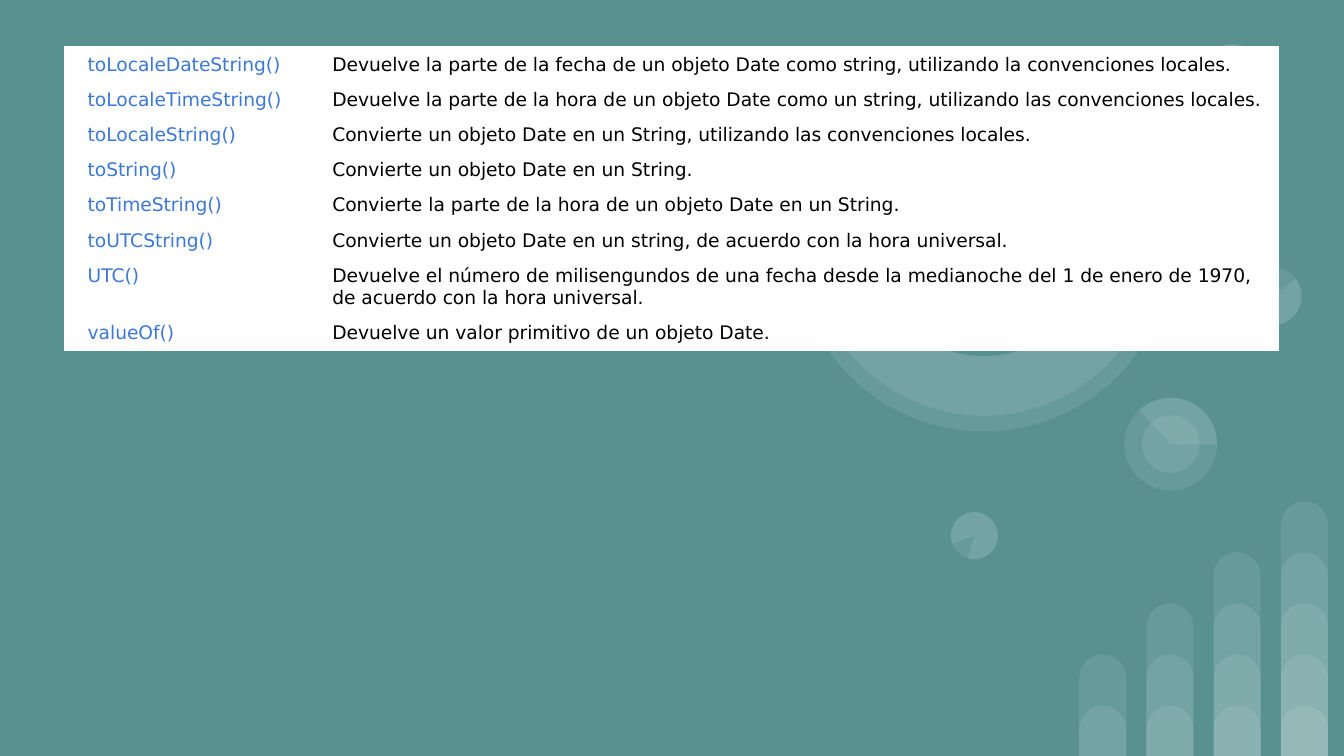
from lxml import etree
from pptx import Presentation, util as u
from pptx.dml.color import RGBColor
from pptx.enum import shapes
from pptx.oxml import ns

theme = {
    "back": "599191",
    "glow": "FFFFFF",
    "alpha": 9,
    "cell": "FFFFFF",
    "name": "3C78D8",
    "text": "000000",
    "font": "DejaVu Sans",
    "size": 10,
}

deck = Presentation()
deck.slide_width = u.Inches(10)
deck.slide_height = deck.slide_width * 9 // 16
unit = deck.slide_width / 100
base = deck.slide_height / unit
slide = deck.slides.add_slide(deck.slide_layouts[6])
back = slide.background.fill
back.solid()
back.fore_color.rgb = RGBColor.from_string(theme["back"])


def scale(*parts):
    return [round(part * unit) for part in parts]


def draw(kind, box, ink="glow", spin=0):
    item = slide.shapes.add_shape(kind, *scale(*box))
    item.shadow.inherit = False
    item.line.fill.background()
    item.rotation = spin
    item.fill.solid()
    item.fill.fore_color.rgb = RGBColor.from_string(theme[ink])
    if ink == "glow":
        tint = item.fill._xPr.find(".//" + ns.qn("a:srgbClr"))
        etree.SubElement(tint, ns.qn("a:alpha")).set("val", str(theme["alpha"] * 1000))
    return item


step, rise, wide = 5, 3.8, 3.5
for col in range(4):
    for row in range(col + 2):
        tall = 3.75 + row * rise
        bar = draw(shapes.MSO_SHAPE.ROUND_2_SAME_RECTANGLE,
                   (80.3 + col * step, base - tall, wide, tall))
        bar.adjustments[0], bar.adjustments[1] = 0.5, 0

dials = [
    (94.7, 22.05, [(4.3, 0, None, "glow"), (4.3, 0, (322.95, 270), "glow")]),
    (72.5, 39.85, [(3.5, 196.2, None, "glow"), (3.5, 196.2, (322.95, 270), "glow")]),
    (87.1, 33.05, [(6.9, 90, None, "glow"), (6.9, 90, (137.41, 270.77), "glow"),
                   (4.3, 90, None, "glow")]),
    (91.7, 6.7, [(6.8, 215.9, None, "glow"), (6.8, 215.9, (322.95, 205.23), "glow")]),
    (73.2, 18, [(28.2, 0, None, "glow"), (25.9, 34.1, None, "glow"),
                (28.2, 0, (146.69, 270), "glow"), (17, 34.1, None, "back"),
                (28.2, 0, (209.24, 270), "glow")]),
]
for mid, down, parts in dials:
    for size, spin, arc, ink in parts:
        kind = shapes.MSO_SHAPE.PIE if arc else shapes.MSO_SHAPE.OVAL
        dial = draw(kind, (mid - size / 2, down - size / 2, size, size), ink, spin)
        for spot, angle in enumerate(arc or ()):
            dial.adjustments[spot] = angle * 0.6

rows = [
    ("toLocaleDateString()", "Devuelve la parte de la fecha de un objeto Date como string, utilizando la convenciones locales."),
    ("toLocaleTimeString()", "Devuelve la parte de la hora de un objeto Date como un string, utilizando las convenciones locales."),
    ("toLocaleString()", "Convierte un objeto Date en un String, utilizando las convenciones locales."),
    ("toString()", "Convierte un objeto Date en un String."),
    ("toTimeString()", "Convierte la parte de la hora de un objeto Date en un String."),
    ("toUTCString()", "Convierte un objeto Date en un string, de acuerdo con la hora universal."),
    ("UTC()", "Devuelve el número de milisengundos de una fecha desde la medianoche del 1 de enero de 1970, de acuerdo con la hora universal."),
    ("valueOf()", "Devuelve un valor primitivo de un objeto Date."),
]
cols = [(19.1, 1.7, "name"), (71.2, 0.8, "text")]
grid = slide.shapes.add_table(len(rows), len(cols), *scale(4.83, 3.5, 90.3, 16.6)).table
grid.first_row = grid.horz_banding = False
for col, (wide, inset, ink) in enumerate(cols):
    grid.columns[col].width = scale(wide)[0]
    for row, words in enumerate(rows):
        grid.rows[row].height = scale(2.6 if words[0] == "UTC()" else 2)[0]
        cell = grid.cell(row, col)
        cell.margin_left, cell.margin_right = scale(inset, 0.8)
        cell.margin_top = cell.margin_bottom = scale(0.5)[0]
        cell.fill.solid()
        cell.fill.fore_color.rgb = RGBColor.from_string(theme["cell"])
        cell.text_frame.text = words[col]
        font = cell.text_frame.paragraphs[0].runs[0].font
        font.name, font.size = theme["font"], u.Pt(theme["size"])
        font.color.rgb = RGBColor.from_string(theme[ink])

deck.save("out.pptx")
